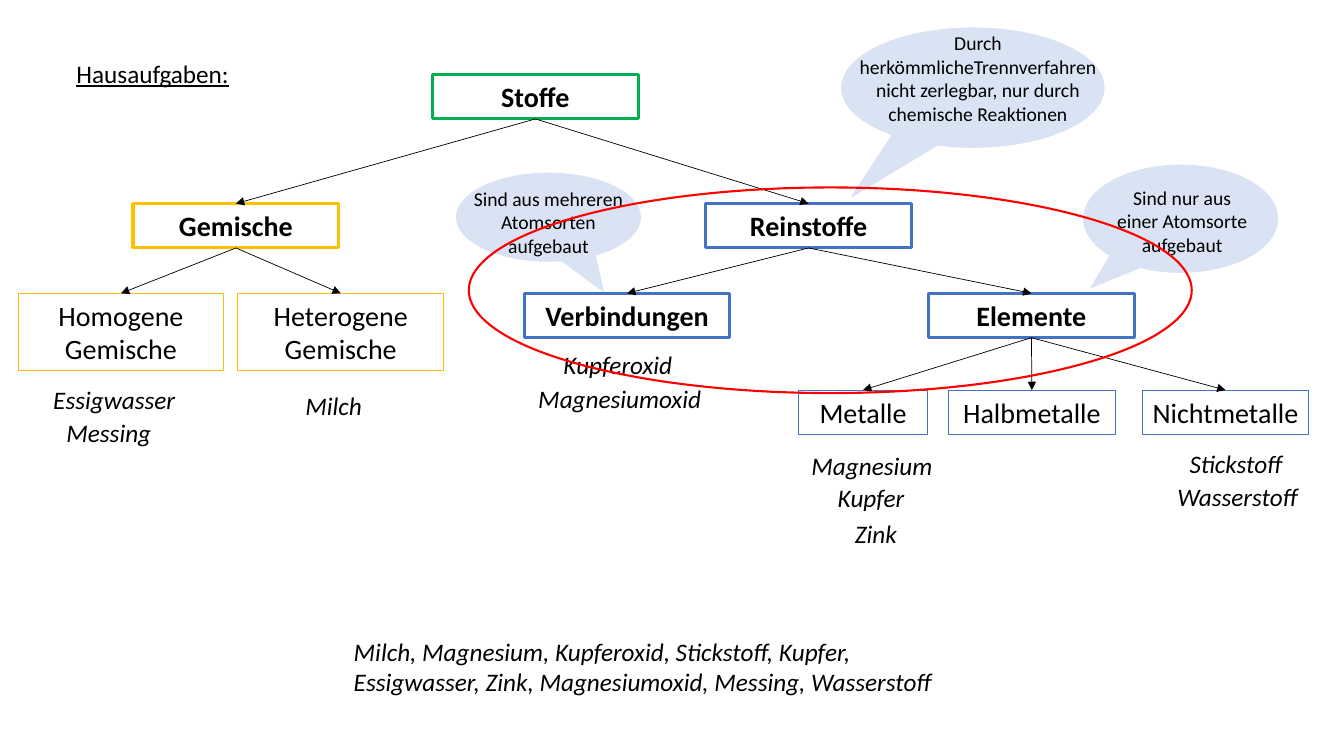
from dataclasses import dataclass

from lxml.etree import SubElement
from pptx import Presentation
from pptx.dml.color import RGBColor
from pptx.enum.shapes import MSO_CONNECTOR as CONN, MSO_SHAPE as SHAPE
from pptx.enum.text import MSO_ANCHOR as ANCHOR, MSO_AUTO_SIZE as AUTO, PP_ALIGN as ALIGN
from pptx.oxml.ns import qn
from pptx.util import Inches, Pt


@dataclass(frozen=True)
class Theme:
    font: str = "Calibri"
    ink: str = "000000"
    green: str = "00B050"
    amber: str = "FFC000"
    blue: str = "4472C4"
    pale: str = "DAE3F3"
    red: str = "FF0000"
    box_size: int = 20
    text_size: int = 18
    note_size: int = 14
    thick: float = 2.25
    thin: float = 0.75
    arrow: float = 0.5
    note_line: float = 1
    ring_line: float = 1.5


T = Theme()
BOX_W, BOX_H, TALL_H = 2.04, 0.44, 0.77
BOTTOM, TOP = 2, 0

BOXES = {
    "Stoffe": (4.29, 0.74, BOX_W, BOX_H, T.green, True),
    "Gemische": (1.32, 2.02, BOX_W, BOX_H, T.amber, True),
    "Reinstoffe": (7, 2.02, BOX_W, BOX_H, T.blue, True),
    "Homogene Gemische": (0.18, 2.91, BOX_W, TALL_H, T.amber, False),
    "Heterogene Gemische": (2.36, 2.91, BOX_W, TALL_H, T.amber, False),
    "Verbindungen": (5.2, 2.91, BOX_W, BOX_H, T.blue, True),
    "Elemente": (9.21, 2.91, BOX_W, BOX_H, T.blue, True),
    "Metalle": (7.92, 3.87, 1.28, BOX_H, T.blue, False),
    "Halbmetalle": (9.41, 3.87, 1.65, BOX_H, T.blue, False),
    "Nichtmetalle": (11.33, 3.87, 1.65, BOX_H, T.blue, False),
}

BRANCHES = {
    "Stoffe": ("Gemische", "Reinstoffe"),
    "Gemische": ("Homogene Gemische", "Heterogene Gemische"),
    "Reinstoffe": ("Verbindungen", "Elemente"),
    "Elemente": ("Metalle", "Halbmetalle", "Nichtmetalle"),
}

EXAMPLES = [
    ("Milch", 2.93, 3.82, 0.86),
    ("Magnesium", 7.95, 4.42, 1.47),
    ("Kupferoxid", 5.49, 3.42, 1.47),
    ("Stickstoff", 11.7, 4.4, 1.2),
    ("Kupfer", 8.21, 4.74, 0.93),
    ("Essigwasser", 0.43, 3.76, 1.47),
    ("Zink", 8.38, 5.09, 0.77),
    ("Magnesiumoxid", 5.24, 3.75, 1.87),
    ("Messing", 0.56, 4.09, 1.1),
    ("Wasserstoff", 11.58, 4.73, 1.48),
]

CALLOUTS = [
    ("Durch herkömmlicheTrennverfahren nicht zerlegbar, nur durch chemische Reaktionen",
     (8.35, 0.28, 2.6, 1.18), (-0.461, 0.915), (8.21, 0.26, 2.98, 1.03)),
    ("Sind nur aus einer Atomsorte aufgebaut",
     (10.75, 1.64, 1.92, 1.06), (-0.461, 0.643), (10.93, 1.79, 1.59, 0.81)),
    ("Sind aus mehreren Atomsorten aufgebaut",
     (4.53, 1.72, 1.82, 0.87), (0.298, 0.844), (4.54, 1.8, 1.8, 0.81)),
]


def set_all(obj, values):
    for name, value in values.items():
        setattr(obj, name, value)


def inches(at):
    return [Inches(v) for v in at]


def write(sp, text, size, align=ALIGN.LEFT, wrap=True, **style):
    tf = sp.text_frame
    set_all(tf, {"word_wrap": wrap, "auto_size": AUTO.SHAPE_TO_FIT_TEXT,
                 "vertical_anchor": ANCHOR.TOP})
    p = tf.paragraphs[0]
    p.alignment = align
    r = p.add_run()
    r.text = text
    set_all(r.font, {"name": T.font, "size": Pt(size), **style})
    r.font.color.rgb = RGBColor.from_string(T.ink)
    return p


def add_outline(shapes, kind, at, color, width, fill=None):
    sp = shapes.add_shape(kind, *inches(at))
    sp.shadow.inherit = False
    if fill:
        sp.fill.solid()
        sp.fill.fore_color.rgb = RGBColor.from_string(fill)
    else:
        sp.fill.background()
    sp.line.color.rgb = RGBColor.from_string(color)
    sp.line.width = Pt(width)
    return sp


def add_text(shapes, text, at, size=T.text_size, **style):
    return write(shapes.add_textbox(*inches(at)), text, size, **style)


def add_box(shapes, text, left, top, width, height, color, main):
    sp = add_outline(shapes, SHAPE.RECTANGLE, (left, top, width, height), color,
                     T.thick if main else T.thin)
    write(sp, text, T.box_size, ALIGN.CENTER, wrap=height == TALL_H, bold=main)
    return sp


def add_arrow(shapes, parent, child):
    line = shapes.add_connector(CONN.STRAIGHT, 0, 0, 0, 0)
    line.begin_connect(parent, BOTTOM)
    line.end_connect(child, TOP)
    line.line.color.rgb = RGBColor.from_string(T.ink)
    line.line.width = Pt(T.arrow)
    SubElement(line.line._get_or_add_ln(), qn("a:tailEnd"), type="triangle")
    SubElement(line._element.spPr, qn("a:effectLst"))


def add_callout(shapes, text, bubble_at, tip, text_at):
    group = shapes.add_group_shape()
    sp = add_outline(group.shapes, SHAPE.OVAL_CALLOUT, bubble_at, T.pale, T.note_line, T.pale)
    for i, value in enumerate(tip):
        sp.adjustments[i] = value
    add_text(group.shapes, text, text_at, T.note_size, align=ALIGN.CENTER)


def add_word_list(shapes):
    p = add_text(shapes, "Milch, Magnesium, Kupferoxid, Stickstoff, Kupfer, Essigwasser, "
                 "Zink, Magnesiumoxid, Messing, Wasserstoff", (2.92, 6.26, 6.67, 0.71), italic=True)
    p.space_after = Pt(6)
    set_all(p._p.get_or_add_pPr(), {"marL": Inches(0.49), "indent": 0}) if hasattr(
        p._p.get_or_add_pPr(), "marL") else p._p.get_or_add_pPr().set("marL", str(Inches(0.49)))


def main():
    prs = Presentation()
    set_all(prs, {"slide_width": Inches(13.33), "slide_height": Inches(7.5)})
    shapes = prs.slides.add_slide(prs.slide_layouts[6]).shapes

    add_text(shapes, "Hausaufgaben:", (0.66, 0.53, 7.9, 0.4), underline=True)
    boxes = {name: add_box(shapes, name, *values) for name, values in BOXES.items()}
    for text, left, top, width in EXAMPLES:
        add_text(shapes, text, (left, top, width, 0.4), italic=True)
    for parent, children in BRANCHES.items():
        for child in children:
            add_arrow(shapes, boxes[parent], boxes[child])
    add_word_list(shapes)
    for callout in CALLOUTS:
        add_callout(shapes, *callout)
    add_outline(shapes, SHAPE.OVAL, (4.65, 1.86, 7.17, 2.04), T.red, T.ring_line)
    prs.save("out.pptx")


if __name__ == "__main__":
    main()
